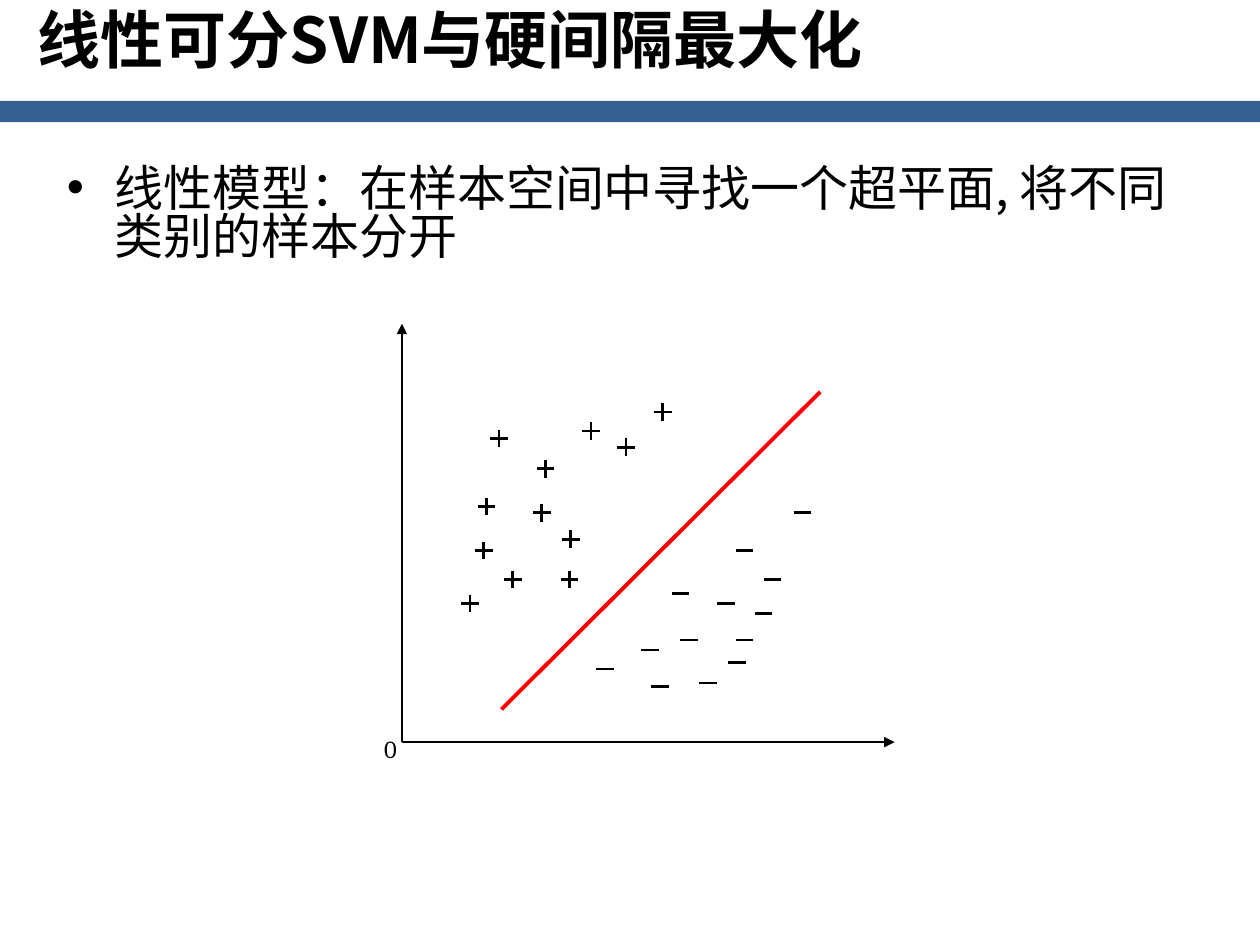
from dataclasses import dataclass

from pptx import Presentation
from pptx.dml.color import RGBColor as Rgb
from pptx.enum.shapes import MSO_CONNECTOR as Link, MSO_SHAPE as Kind
from pptx.enum.text import MSO_ANCHOR as Anchor, MSO_AUTO_SIZE as Fit, PP_ALIGN as Align
from pptx.oxml.ns import qn
from pptx.util import Inches, Pt


@dataclass(frozen=True)
class Theme:
    ink: Rgb = Rgb(0, 0, 0)
    bar: Rgb = Rgb(0x37, 0x60, 0x92)
    split: Rgb = Rgb(255, 0, 0)
    sans: str = "Noto Sans CJK SC"
    serif: str = "Cambria"
    head: int = 36
    body: int = 28
    label: int = 14
    thin: float = 1.5
    thick: float = 2.25


ARM = 0.07  # half the length of a sample mark

PLUS = [
    (4.69, 3.42), (4.53, 4.28), (4.3, 4.07), (3.84, 4.37),
    (4.07, 4.6), (4.52, 4.6), (3.96, 3.48), (5.26, 3.27),
    (4.97, 3.55), (3.73, 4.79), (4.33, 3.72), (3.86, 4.02),
]
MINUS = [
    (6.06, 4.87), (5.4, 4.71), (5.24, 5.45), (4.8, 5.31), (5.85, 5.26),
    (5.91, 5.08), (5.16, 5.16), (6.13, 4.6), (5.47, 5.08), (5.62, 5.42),
    (5.76, 4.79), (5.91, 4.37), (6.37, 4.07),
]


class Board:
    def __init__(self, slide, theme):
        self.slide = slide
        self.theme = theme

    def place(self, shape, box):
        shape.left, shape.top, shape.width, shape.height = map(Inches, box)

    def fill_text(self, shape, text, size, face, bold=False):
        frame = shape.text_frame
        frame.text = text
        frame.auto_size = Fit.NONE
        frame.vertical_anchor = Anchor.TOP
        para = frame.paragraphs[0]
        para.alignment = Align.LEFT
        para.space_before = Pt(0)
        for run in para.runs:
            font = run.font
            font.size, font.name, font.bold = Pt(size), face, bold
            font.color.rgb = self.theme.ink
            props = run._r.get_or_add_rPr()
            east = props.makeelement(qn("a:ea"), {"typeface": face})
            props.find(qn("a:latin")).addnext(east)
        return para

    def band(self, box):
        rect = self.slide.shapes.add_shape(Kind.RECTANGLE, *map(Inches, box))
        rect.shadow.inherit = False
        rect.fill.solid()
        rect.fill.fore_color.rgb = self.theme.bar
        rect.line.fill.background()

    def title(self, text, box):
        shape = self.slide.shapes.title
        self.place(shape, box)
        para = self.fill_text(shape, text, self.theme.head, self.theme.sans, True)
        para.line_spacing = 0.95
        shape.text_frame.margin_top = 0

    def bullet(self, text, box):
        shape = self.slide.placeholders[1]
        self.place(shape, box)
        para = self.fill_text(shape, text, self.theme.body, self.theme.sans)
        para.line_spacing = 0.82
        shape.text_frame.margin_top = Inches(0.1)
        props = para._p.get_or_add_pPr()
        props.set("marL", str(Inches(0.38)))
        props.set("indent", str(-Inches(0.38)))
        props.append(props.makeelement(qn("a:buChar"), {"char": "•"}))

    def label(self, text, box):
        shape = self.slide.shapes.add_textbox(*map(Inches, box))
        self.fill_text(shape, text, self.theme.label, self.theme.serif)
        shape.text_frame.word_wrap = False

    def line(self, start, end, color=None, width=None, arrow=False, shapes=None):
        if shapes is None:
            shapes = self.slide.shapes
        ends = map(Inches, (*start, *end))
        link = shapes.add_connector(Link.STRAIGHT, *ends)
        link.line.color.rgb = color or self.theme.ink
        link.line.width = Pt(width or self.theme.thin)
        props = link._element.spPr
        props.append(props.makeelement(qn("a:effectLst"), {}))
        if arrow:
            stroke = props.find(qn("a:ln"))
            stroke.append(stroke.makeelement(qn("a:tailEnd"), {"type": "triangle"}))

    def minus(self, x, y, shapes=None):
        self.line((x - ARM, y), (x + ARM, y), shapes=shapes)

    def plus(self, x, y):
        group = self.slide.shapes.add_group_shape().shapes
        self.minus(x, y, group)
        self.line((x, y - ARM), (x, y + ARM), shapes=group)


def main():
    deck = Presentation()
    deck.slide_width, deck.slide_height = Inches(10), Inches(7.5)
    theme = Theme()
    board = Board(deck.slides.add_slide(deck.slide_layouts[1]), theme)

    board.band((0, 0.8, 10, 0.17))
    board.title("线性可分SVM与硬间隔最大化", (0.2, 0.05, 8.5, 0.55))
    board.bullet("线性模型：在样本空间中寻找一个超平面, 将不同类别的样本分开",
                 (0.43, 1.23, 9.13, 5.75))

    origin = (3.19, 5.89)
    board.line(origin, (3.19, 2.57), arrow=True)
    board.line(origin, (7.1, 5.89), arrow=True)
    board.label("0", (2.95, 5.78, 0.36, 0.41))

    for spot in PLUS:
        board.plus(*spot)
    for spot in MINUS:
        board.minus(*spot)
    board.line((3.98, 5.63), (6.51, 3.11), theme.split, theme.thick)

    deck.save("out.pptx")


if __name__ == "__main__":
    main()
